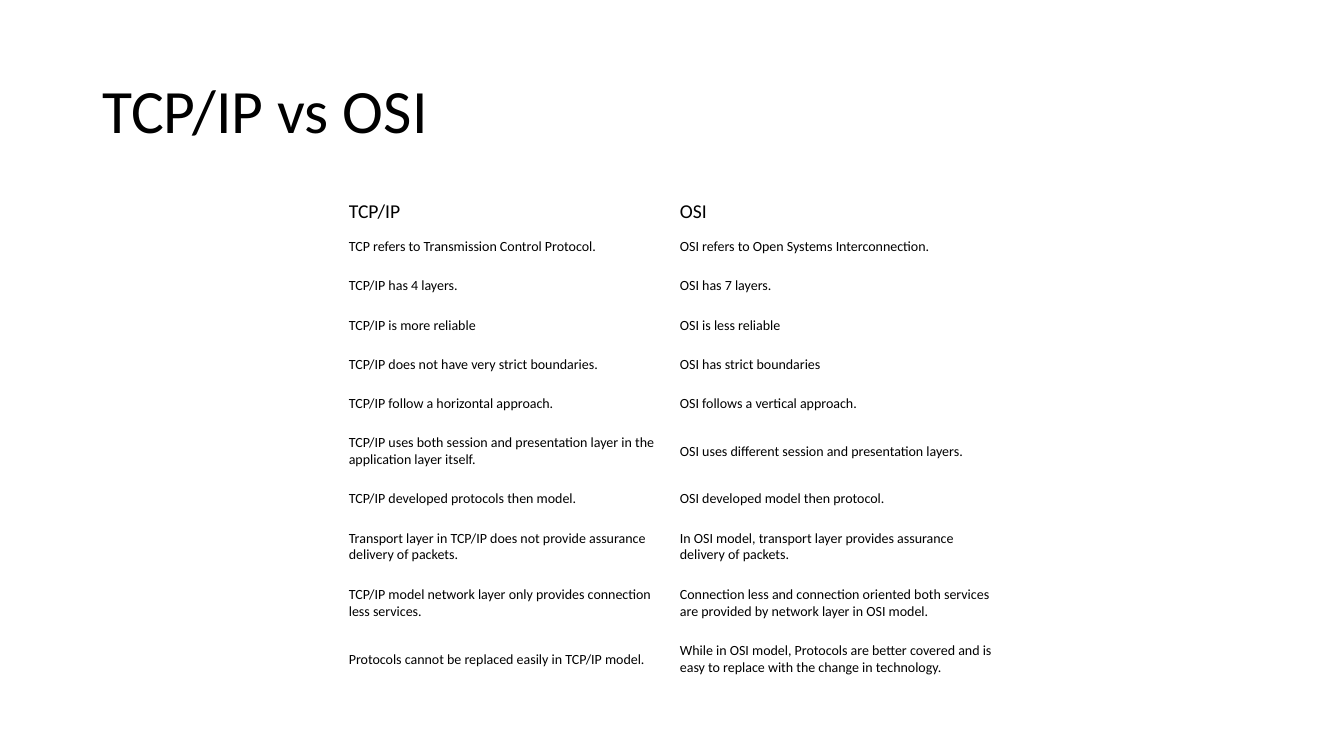
from dataclasses import dataclass
from math import ceil

from pptx import Presentation
from pptx.dml.color import RGBColor
from pptx.enum.text import MSO_ANCHOR
from pptx.util import Pt


@dataclass(frozen=True)
class Theme:
    """Colours, font and type sizes of the slide."""
    ink: RGBColor = RGBColor(0, 0, 0)
    paper: RGBColor = RGBColor(255, 255, 255)
    font: str = "Calibri"
    title_size: float = 44
    header_size: float = 14
    body_size: float = 10


THEME = Theme()
CHARACTERS_PER_LINE = 58
LINE_HEIGHT = 12.2
SIDE_INSET = 5.76
HEADER_INSET = 2.8
BODY_INSET = 7.9
HEADER_HEIGHT = 22.7

HEADERS = ("TCP/IP", "OSI")
COMPARISONS = [
    ("TCP refers to Transmission Control Protocol.",
     "OSI refers to Open Systems Interconnection."),
    ("TCP/IP has 4 layers.", "OSI has 7 layers."),
    ("TCP/IP is more reliable", "OSI is less reliable"),
    ("TCP/IP does not have very strict boundaries.", "OSI has strict boundaries"),
    ("TCP/IP follow a horizontal approach.", "OSI follows a vertical approach."),
    ("TCP/IP uses both session and presentation layer in the application layer itself.",
     "OSI uses different session and presentation layers."),
    ("TCP/IP developed protocols then model.", "OSI developed model then protocol."),
    ("Transport layer in TCP/IP does not provide assurance delivery of packets.",
     "In OSI model, transport layer provides assurance delivery of packets."),
    ("TCP/IP model network layer only provides connection less services.",
     "Connection less and connection oriented both services are provided by "
     "network layer in OSI model."),
    ("Protocols cannot be replaced easily in TCP/IP model.",
     "While in OSI model, Protocols are better covered and is easy to replace "
     "with the change in technology."),
]


def write_text(frame, text, *, size, line_spacing=1.0):
    """Fill a text frame with one formatted paragraph."""
    frame.word_wrap = True
    paragraph = frame.paragraphs[0]
    paragraph.line_spacing = line_spacing
    run = paragraph.add_run()
    run.text = text
    run.font.name = THEME.font
    run.font.size = Pt(size)
    run.font.bold = False
    run.font.color.rgb = THEME.ink


def add_title(slide, text, left, top, width, height):
    """Place the slide title in the given box."""
    frame = slide.shapes.add_textbox(Pt(left), Pt(top), Pt(width), Pt(height)).text_frame
    frame.vertical_anchor = MSO_ANCHOR.MIDDLE
    write_text(frame, text, size=THEME.title_size, line_spacing=0.9)


def fill_cell(cell, text, *, size, inset):
    """Format one table cell and write its text."""
    cell.fill.solid()
    cell.fill.fore_color.rgb = THEME.paper
    cell.vertical_anchor = MSO_ANCHOR.MIDDLE
    cell.margin_left = cell.margin_right = Pt(SIDE_INSET)
    cell.margin_top = cell.margin_bottom = Pt(inset)
    write_text(cell.text_frame, text, size=size)


def body_height(texts):
    """Return the row height that the longest text needs."""
    lines = ceil(max(map(len, texts)) / CHARACTERS_PER_LINE)
    return round(lines * LINE_HEIGHT + 2 * BODY_INSET, 2)


def add_comparison(slide, headers, comparisons, left, top, width):
    """Place the comparison table, with equal columns, in the given width."""
    rows = [headers, *comparisons]
    heights = [HEADER_HEIGHT, *map(body_height, comparisons)]
    table = slide.shapes.add_table(
        len(rows), len(headers), Pt(left), Pt(top), Pt(width), Pt(sum(heights))).table
    table.first_row = table.horz_banding = False
    for column in table.columns:
        column.width = Pt(width / len(headers))
    for row_index, (texts, height) in enumerate(zip(rows, heights)):
        is_header = row_index == 0
        table.rows[row_index].height = Pt(height)
        for column_index, text in enumerate(texts):
            fill_cell(table.cell(row_index, column_index), text,
                      size=THEME.header_size if is_header else THEME.body_size,
                      inset=HEADER_INSET if is_header else BODY_INSET)


def main():
    """Build and save the presentation."""
    presentation = Presentation()
    presentation.slide_width, presentation.slide_height = Pt(960), Pt(540)
    slide = presentation.slides.add_slide(presentation.slide_layouts[6])
    slide.background.fill.solid()
    slide.background.fill.fore_color.rgb = THEME.paper
    add_title(slide, "TCP/IP vs OSI", 66, 28.8, 828, 104.4)
    add_comparison(slide, HEADERS, COMPARISONS, 243.4, 139.7, 473)
    presentation.save("out.pptx")


main()
